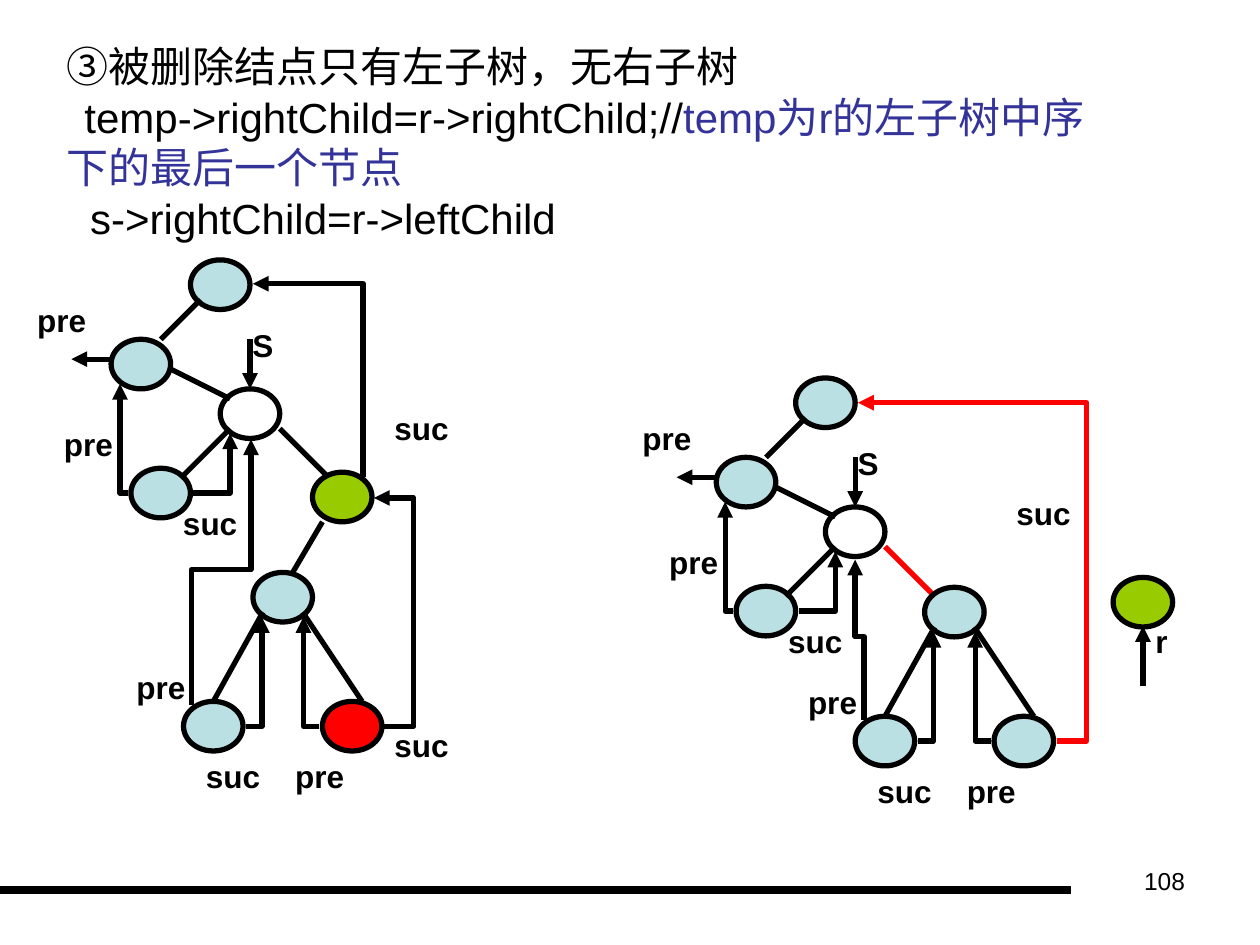
from dataclasses import dataclass

from lxml import etree
from pptx import Presentation
from pptx import util as u
from pptx.dml.color import RGBColor
from pptx.enum import shapes, text
from pptx.oxml.ns import qn


@dataclass(frozen=True)
class Theme:
    font: str = "Arial"
    body: int = 24
    label: int = 18
    number: int = 14
    line: float = 3
    rule: float = 4.5
    black: str = "000000"
    red: str = "FF0000"
    node: str = "BBE0E3"
    green: str = "99CC00"
    comment: str = "333399"


T = Theme()
COLS = 127                      # grid columns across the slide
W, H = u.Inches(10), u.Inches(7.5)
CELL = W / COLS                 # square grid cell
NODE_W, NODE_H = 6, 5
LABEL_H = 5.1


def grid(n):
    return u.Emu(round(n * CELL))


def style_line(line, color, width=T.line):
    line.color.rgb = RGBColor.from_string(color)
    line.width = u.Pt(width)


class Canvas:
    """Draws on the slide's grid, relative to an origin cell."""

    def __init__(self, slide, x=0, y=0):
        self.slide, self.x, self.y = slide, x, y

    def at(self, point):
        return self.x + point[0], self.y + point[1]

    def node(self, pos, fill=T.node):
        x, y = self.at(pos)
        sp = self.slide.shapes.add_shape(
            shapes.MSO_SHAPE.OVAL, *map(grid, (x, y, NODE_W, NODE_H)))
        sp.shadow.inherit = False
        if fill:
            sp.fill.solid()
            sp.fill.fore_color.rgb = RGBColor.from_string(fill)
        else:
            sp.fill.background()
        style_line(sp.line, T.black)

    def label(self, pos, words, width=10):
        x, y = self.at(pos)
        tf = text_box(self.slide, *map(grid, (x, y, width, LABEL_H)))
        write(tf.paragraphs[0], [(words, T.black)], T.label, bold=True)

    def connector(self, kind, start, end, color, arrow, width=T.line):
        c = self.slide.shapes.add_connector(kind, *map(grid, (*start, *end)))
        style_line(c.line, color, width)
        sp_pr = c._element.spPr
        if arrow:
            etree.SubElement(c.line._get_or_add_ln(), qn("a:tailEnd"), type="triangle")
        etree.SubElement(sp_pr, qn("a:effectLst"))
        return sp_pr

    def edge(self, start, end, color=T.black, arrow=False, width=T.line):
        self.connector(shapes.MSO_CONNECTOR.STRAIGHT, self.at(start),
                       self.at(end), color, arrow, width)

    def thread(self, start, end, color=T.black, bend=None, upright=False):
        """Elbow arrow; bend is the share of the way where it turns (None: one
        corner); upright arrows set off vertically."""
        (x1, y1), (x2, y2) = self.at(start), self.at(end)
        if upright:  # lay the box on its side, then turn it a quarter
            cx, cy, dx, dy = (x1 + x2) / 2, (y1 + y2) / 2, x2 - x1, y2 - y1
            x1, y1 = cx - dy / 2, cy + dx / 2
            x2, y2 = cx + dy / 2, cy - dx / 2
        sp_pr = self.connector(shapes.MSO_CONNECTOR.ELBOW, (x1, y1), (x2, y2),
                               color, True)
        if upright:
            sp_pr.find(qn("a:xfrm")).set("rot", "5400000")
        geom = sp_pr.find(qn("a:prstGeom"))
        if bend is None:
            geom.set("prst", "bentConnector2")
        else:
            etree.SubElement(geom.find(qn("a:avLst")), qn("a:gd"), name="adj1",
                             fmla=f"val {round(bend * 100000)}")


def text_box(slide, x, y, w, h):
    tf = slide.shapes.add_textbox(x, y, w, h).text_frame
    tf.word_wrap = True
    return tf


def write(p, runs, size, bold=False):
    p.font.name, p.font.size, p.font.bold = T.font, u.Pt(size), bold
    for words, color in runs:
        r = p.add_run()
        r.text = words
        r.font.color.rgb = RGBColor.from_string(color)


def upper_tree(cv, right_edge):
    """Root, its left child, s and the leaf under s."""
    for pos, fill in [((0, 0), T.node), ((-8, 8), T.node),
                      ((3, 13), None), ((-6, 21), T.node)]:
        cv.node(pos, fill)
    for start, end in [((1, 4), (-3, 8)), ((-2, 11), (4, 14)), ((4, 17), (-1, 22))]:
        cv.edge(start, end)
    cv.edge((9, 17), (14, 22), right_edge)
    cv.edge((6, 8), (6, 13), arrow=True)
    cv.edge((-8, 10), (-12, 10), arrow=True)
    cv.thread((0.3, 23.5), (4, 17.5))
    cv.thread((-6.3, 23.5), (-7.1, 12.5))
    cv.label((5, 6), "S", 5)
    for pos, words in [((-16.7, 3.5), "pre"), ((-14, 16), "pre"), ((-2, 24), "suc")]:
        cv.label(pos, words)


def lower_tree(cv, last_fill):
    """Left subtree of the deleted node."""
    for pos, fill in [((0, 0), T.node), ((-7, 13), T.node), ((7, 13), last_fill)]:
        cv.node(pos, fill)
    cv.edge((1, 4), (-4, 13))
    cv.edge((5, 4), (11, 13))
    cv.thread((-0.7, 15.5), (0.9, 4.5))
    cv.thread((6.7, 15.5), (5.1, 4.5))
    for pos, words in [((-13, 9), "pre"), ((-6, 18), "suc"), ((3, 18), "pre")]:
        cv.label(pos, words)


def before_deletion(slide):
    cv = Canvas(slide)
    upper_tree(Canvas(slide, 19.2, 26.2), T.black)
    cv.thread((19.3, 71.1), (25.3, 44.3), bend=0.51, upright=True)
    lower_tree(Canvas(slide, 25.5, 57.7), T.red)
    cv.node((31.5, 47.6), T.green)
    cv.edge((32.5, 52.6), (29.5, 57.7))
    cv.thread((36.6, 48.1), (25.5, 28.6), upright=True)
    cv.thread((38.7, 73.2), (37.7, 50.2), bend=-3.02)
    cv.label((38.5, 40.6), "suc")
    cv.label((38.5, 72.6), "suc")


def after_deletion(slide):
    cv = Canvas(slide)
    upper_tree(Canvas(slide, 80.2, 38.1), T.red)
    cv.thread((87.1, 72.6), (86.2, 56.4), bend=0.52, upright=True)
    lower_tree(Canvas(slide, 93.2, 59.2), T.node)
    cv.thread((106.5, 74.7), (86.5, 40.6), T.red, bend=-0.15)
    cv.label((101.2, 49.2), "suc")
    # Detached node r
    cv.node((112.2, 58.2), T.green)
    cv.edge((115.2, 69.1), (115.2, 63.1), arrow=True)
    cv.label((115.2, 62.1), "r", 5)


def explanation(slide):
    tf = text_box(slide, *map(grid, (5.5, 3.5, 107, 21.6)))
    lines = [
        [("③被删除结点只有左子树，无右子树", T.black)],
        [("  ", T.black), ("temp->rightChild=r->rightChild;//", T.black),
         ("temp为r的左子树中序下的最后一个节点", T.comment)],
        [("  s->rightChild=r->leftChild", T.black)],
    ]
    for i, runs in enumerate(lines):
        p = tf.paragraphs[0] if i == 0 else tf.add_paragraph()
        write(p, runs, T.body)
    tf.paragraphs[1].runs[0].font.size = u.Pt(T.label)


def footer(slide):
    rule_y = 89.7
    Canvas(slide).edge((0, rule_y), (0.85 * COLS, rule_y), width=T.rule)
    tf = text_box(slide, *map(grid, (91, 86.7, 29.7, 6.6)))
    p = tf.paragraphs[0]
    p.alignment = text.PP_ALIGN.RIGHT
    write(p, [("108", T.black)], T.number)


def main():
    prs = Presentation()
    prs.slide_width, prs.slide_height = W, H
    slide = prs.slides.add_slide(prs.slide_layouts[6])
    footer(slide)
    after_deletion(slide)
    before_deletion(slide)
    explanation(slide)
    prs.save("out.pptx")


if __name__ == "__main__":
    main()
